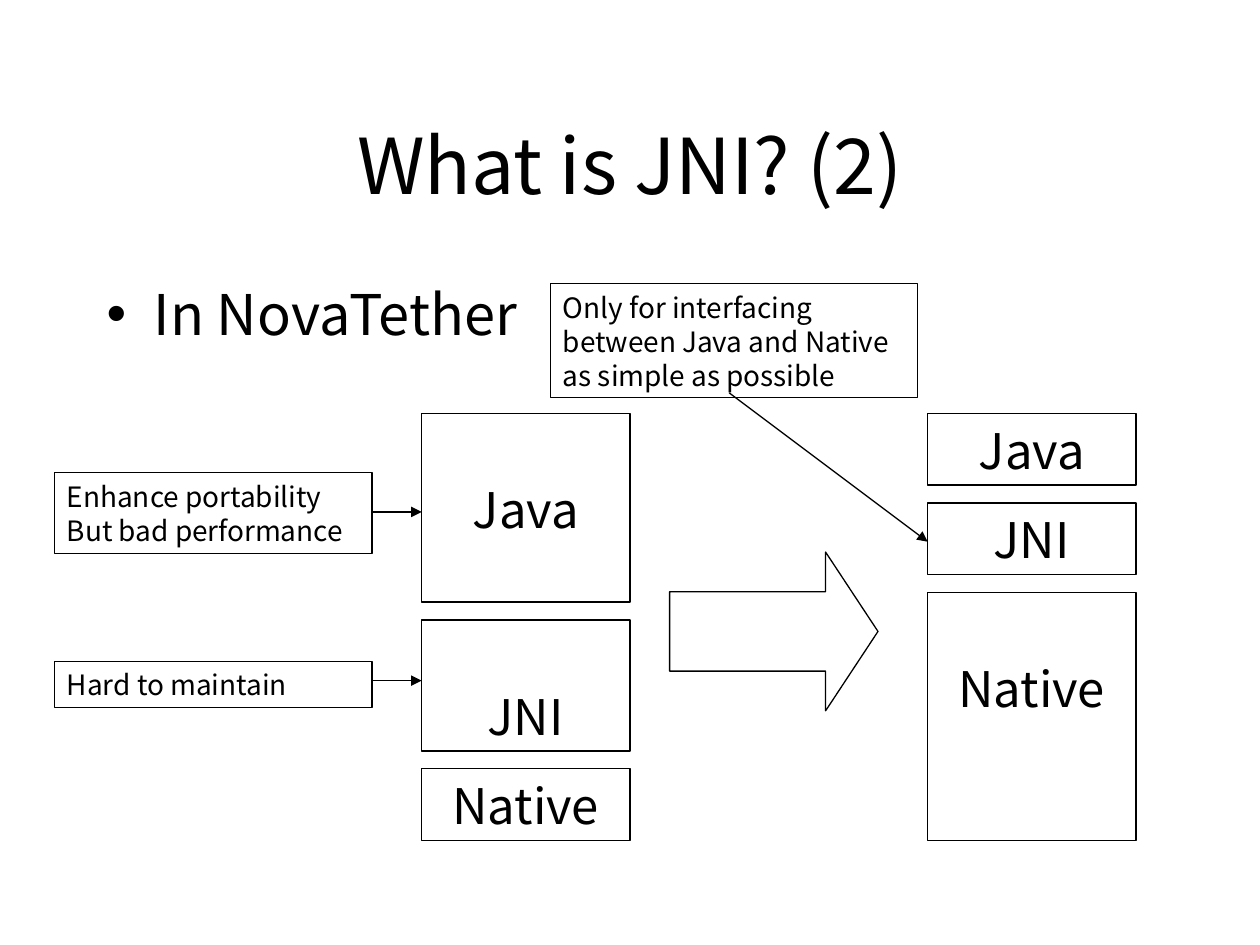
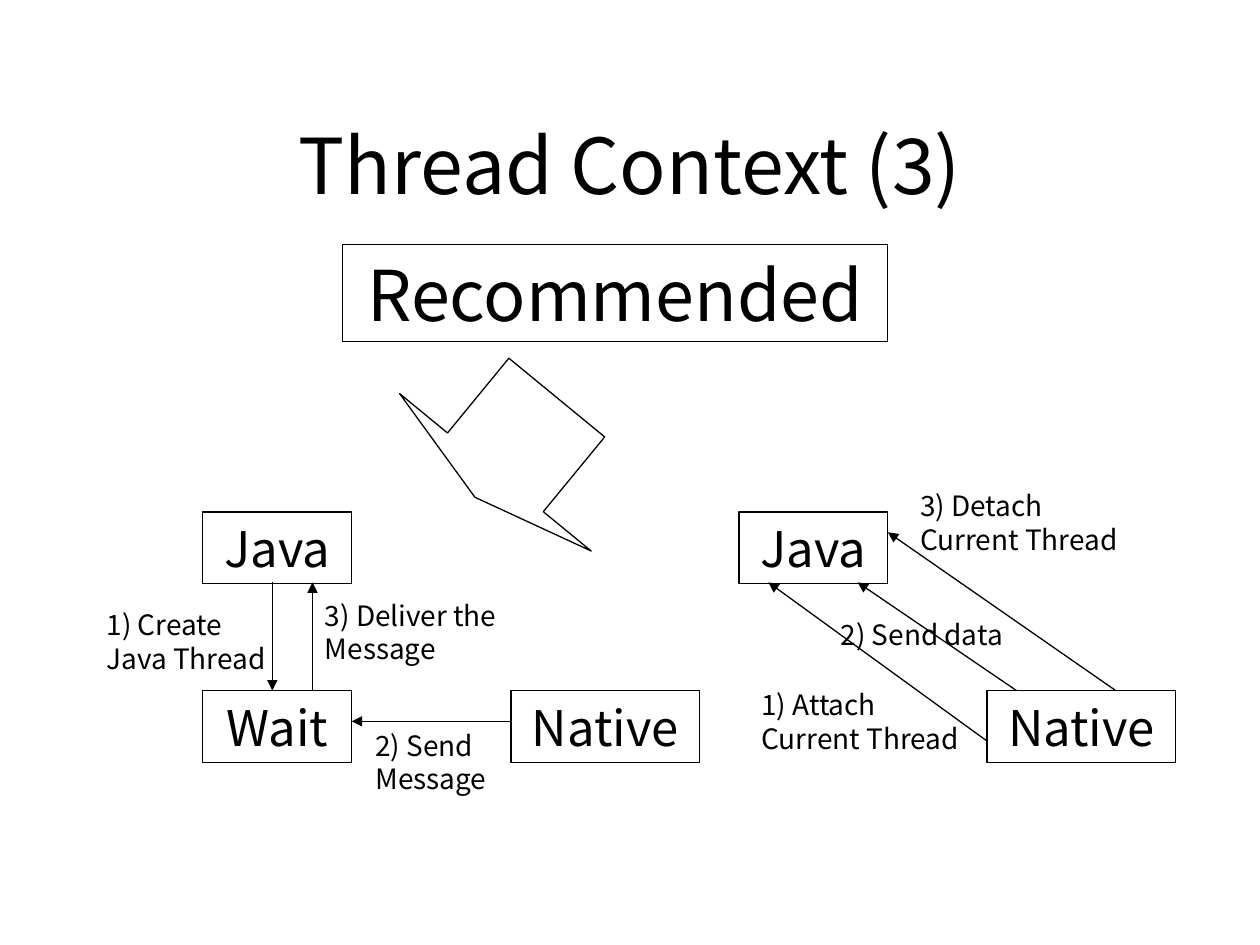
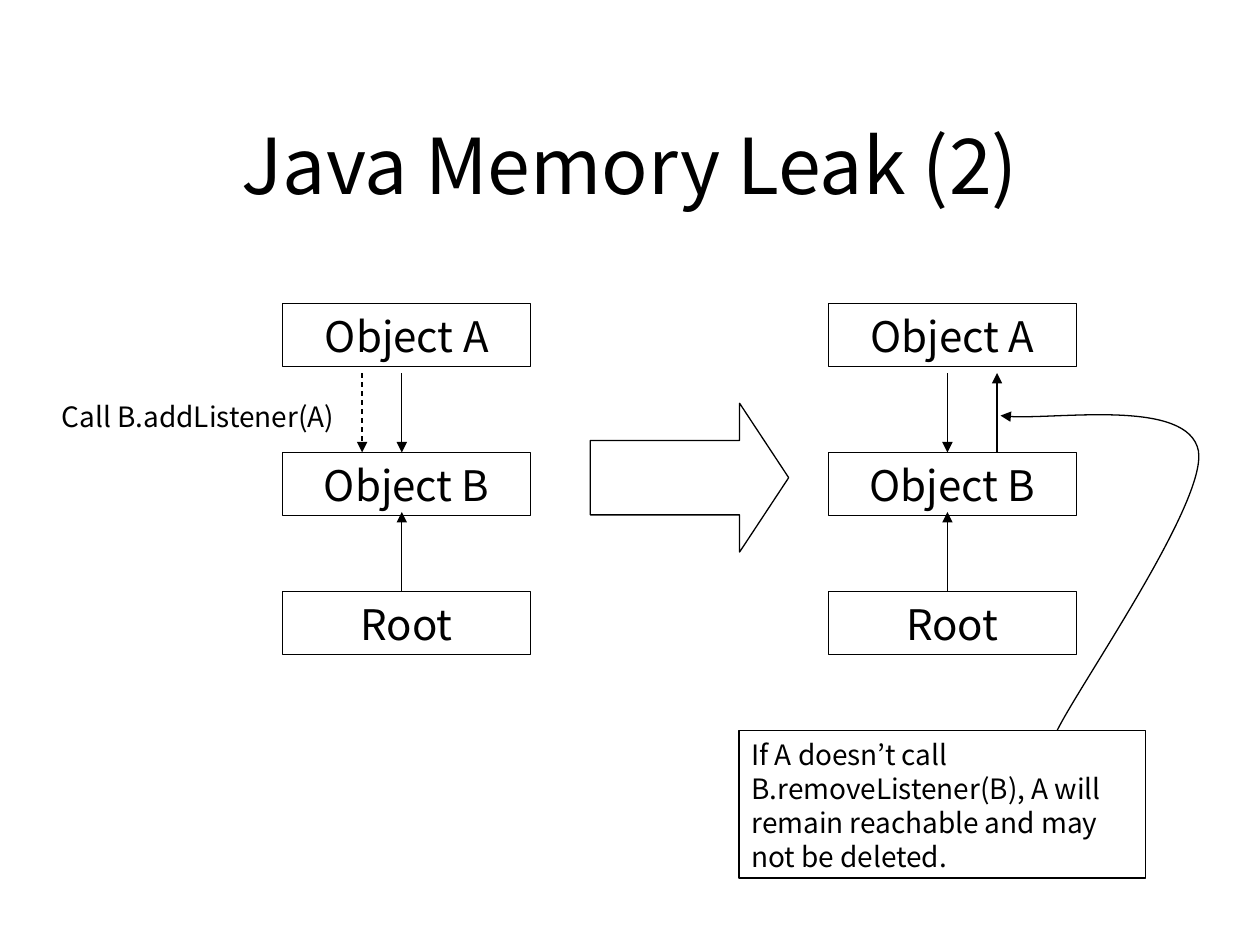
import dataclasses

import lxml.etree
import pptx
import pptx.dml.color
import pptx.enum.dml
import pptx.enum.shapes
import pptx.enum.text
import pptx.oxml
import pptx.oxml.ns
import pptx.util

Cm = pptx.util.Cm
Pt = pptx.util.Pt
Shape = pptx.enum.shapes.MSO_SHAPE
Align = pptx.enum.text.PP_ALIGN
Anchor = pptx.enum.text.MSO_ANCHOR
qn = pptx.oxml.ns.qn


@dataclasses.dataclass(frozen=True)
class Theme:
    font: str = "Noto Sans CJK KR"
    ink: pptx.dml.color.RGBColor = pptx.dml.color.RGBColor(0, 0, 0)
    paper: pptx.dml.color.RGBColor = pptx.dml.color.RGBColor(255, 255, 255)
    title: int = 44
    banner: int = 40
    body: int = 32
    block: int = 28
    node: int = 24
    note: int = 16
    pitch: float = 1.21
    line: float = 0.75
    side: float = 0.25
    edge: float = 0.13


THEME = Theme()


def write(frame, lines, size, align=Align.LEFT, anchor=Anchor.TOP, drop=0):
    frame.word_wrap = True
    frame.auto_size = pptx.enum.text.MSO_AUTO_SIZE.NONE
    frame.vertical_anchor = anchor
    frame.margin_left = frame.margin_right = Cm(THEME.side)
    frame.margin_top = Cm(THEME.edge + drop)
    frame.margin_bottom = Cm(THEME.edge)
    for index, line in enumerate(lines):
        para = frame.add_paragraph() if index else frame.paragraphs[0]
        para.alignment = align
        para.line_spacing = Pt(round(size * THEME.pitch, 1))
        para.space_before = Pt(0)
        run = para.add_run()
        run.text = line
        run.font.name = THEME.font
        run.font.size = Pt(size)
        run.font.color.rgb = THEME.ink


def place(shape, x, y, w, h):
    shape.left, shape.top, shape.width, shape.height = Cm(x), Cm(y), Cm(w), Cm(h)


def stroke(line):
    line.color.rgb = THEME.ink
    line.width = Pt(THEME.line)


def outline(shape):
    shape.shadow.inherit = False
    shape.fill.background()
    stroke(shape.line)


def point(shape):
    line = shape._element.spPr.get_or_add_ln()
    lxml.etree.SubElement(line, qn("a:tailEnd"), type="triangle")


def draw(slide, kind, x, y, w, h):
    shape = slide.shapes.add_shape(kind, Cm(x), Cm(y), Cm(w), Cm(h))
    outline(shape)
    return shape


def block(slide, x, y, w, h, text, size=THEME.block, drop=0):
    shape = draw(slide, Shape.RECTANGLE, x, y, w, h)
    write(shape.text_frame, [text], size, Align.CENTER, drop=drop)


def note(slide, x, y, w, h, *lines):
    shape = draw(slide, Shape.RECTANGLE, x, y, w, h)
    write(shape.text_frame, lines, THEME.note)


def label(slide, x, y, w, h, text):
    shape = slide.shapes.add_textbox(Cm(x), Cm(y), Cm(w), Cm(h))
    write(shape.text_frame, [text], THEME.note)


def arrow(slide, x, y, start, end, dashed=False):
    link = slide.shapes.add_connector(
        pptx.enum.shapes.MSO_CONNECTOR.STRAIGHT,
        Cm(x + start[0]), Cm(y + start[1]), Cm(x + end[0]), Cm(y + end[1]))
    stroke(link.line)
    if dashed:
        link.line.dash_style = pptx.enum.dml.MSO_LINE.DASH
    point(link)
    lxml.etree.SubElement(link._element.spPr, qn("a:effectLst"))


def fat(slide, kind, x, y, w, h, head, turn=0):
    shape = draw(slide, kind, x, y, w, h)
    shape.adjustments[0] = 0.5
    shape.adjustments[1] = head
    shape.rotation = turn


def curve(slide, x, y, points):
    spots = [(Cm(x + a), Cm(y + b)) for a, b in points]
    pen = slide.shapes.build_freeform(*spots[0])
    pen.add_line_segments(spots[1:], close=False)
    shape = pen.convert_to_shape()
    outline(shape)
    point(shape)
    track = shape._element.find(".//" + qn("a:path"))
    steps = track.findall(qn("a:lnTo"))
    for index in range(0, len(steps), 3):
        bend = lxml.etree.SubElement(track, qn("a:cubicBezTo"))
        for step in steps[index:index + 3]:
            bend.append(step[0])
            track.remove(step)


def page(deck, title, layout=5):
    slide = deck.slides.add_slide(deck.slide_layouts[layout])
    slide.background.fill.solid()
    slide.background.fill.fore_color.rgb = THEME.paper
    head = slide.shapes.title
    place(head, 1.9, 1.7, 21.6, 3.18)
    write(head.text_frame, [title], THEME.title, Align.CENTER, Anchor.MIDDLE)
    return slide


def bullet(slide, x, y, w, h, text):
    body = slide.placeholders[1]
    place(body, x, y, w, h)
    write(body.text_frame, [text], THEME.body)
    props = body.text_frame.paragraphs[0]._p.get_or_add_pPr()
    indent = Cm(0.95)
    props.set("marL", str(indent))
    props.set("indent", str(-indent))
    lxml.etree.SubElement(props, qn("a:buChar"), char="•")


def stack(slide, x, y, w, parts, gap=0.36):
    for text, height, drop in parts:
        block(slide, x, y, w, height, text, drop=drop)
        y += height + gap


def remarks(slide, x, y, w):
    note(slide, x, y, w, 1.63, "Enhance portability", "But bad performance")
    note(slide, x, y + 3.8, w, 0.94, "Hard to maintain")
    for level in (0.79, 4.19):
        arrow(slide, x, y, (w, level), (w + 1, level))


def layers(deck):
    slide = page(deck, "What is JNI? (2)", 1)
    bullet(slide, 1.9, 5.5, 21.6, 11.43, "In NovaTether")
    line = 1.19
    stack(slide, 8.5, 8.33, 4.2,
          [("Java", 3.81, line), ("JNI", 2.64, line), ("Native", 1.45, 0)])
    stack(slide, 18.7, 8.33, 4.2,
          [("Java", 1.45, 0), ("JNI", 1.45, 0), ("Native", 5, line)])
    remarks(slide, 1.1, 9.53, 6.4)
    fat(slide, Shape.RIGHT_ARROW, 13.5, 11.13, 4.2, 3.2, 0.33)
    note(slide, 11.1, 5.72, 7.4, 2.29,
         "Only for interfacing between Java and Native", "as simple as possible")
    arrow(slide, 11.1, 5.72, (3.6, 2.2), (7.6, 5.2))


def waiting(slide, x, y):
    low = 3.6
    block(slide, x + 2.19, y, 3, 1.45, "Java")
    block(slide, x + 2.19, y + low, 3, 1.45, "Wait")
    block(slide, x + 8.4, y + low, 3.8, 1.45, "Native")
    arrow(slide, x, y, (3.59, 1.42), (3.59, low))
    arrow(slide, x, y, (8.4, 4.22), (5.19, 4.22))
    arrow(slide, x, y, (4.4, low), (4.4, 1.42))
    label(slide, x, y + 1.8, 3.81, 1.63, "1) Create Java Thread")
    label(slide, x + 5.42, y + 4.22, 3.81, 1.63, "2) Send Message")
    label(slide, x + 4.4, y + 1.6, 4.39, 1.63, "3) Deliver the Message")


def attached(slide, x, y):
    low = 3.6
    block(slide, x, y, 3, 1.45, "Java")
    block(slide, x + 5, y + low, 3.8, 1.45, "Native")
    arrow(slide, x, y, (5, 4.62), (0.59, 1.42))
    arrow(slide, x, y, (5.59, low), (2.39, 1.42))
    arrow(slide, x, y, (7.59, low), (3, 0.41))
    label(slide, x + 0.2, y + 3.4, 4.6, 1.63, "1) Attach Current Thread")
    label(slide, x + 1.8, y + 2, 4.6, 0.94, "2) Send data")
    label(slide, x + 3.4, y - 0.6, 4.6, 1.63, "3) Detach Current Thread")


def threads(deck):
    slide = page(deck, "Thread Context (3)")
    waiting(slide, 1.9, 10.32)
    attached(slide, 14.9, 10.32)
    block(slide, 6.9, 4.93, 11, 1.96, "Recommended", THEME.banner)
    fat(slide, Shape.DOWN_ARROW, 7.9, 7.72, 5, 2.6, 0.25, 39.4)


def chain(slide, x, y):
    for text, level in (("Object A", 0), ("Object B", 3), ("Root", 5.8)):
        block(slide, x, y + level, 5, 1.27, text, THEME.node)
    arrow(slide, x, y, (2.4, 1.4), (2.4, 3))
    arrow(slide, x, y, (2.4, 5.8), (2.4, 4.2))


def leak(deck):
    slide = page(deck, "Java Memory Leak (2)")
    left, right, top = 5.7, 16.7, 6.12
    for x in (left, right):
        chain(slide, x, top)
    label(slide, 1, top + 1.8, 6.4, 0.94, "Call B.addListener(A)")
    arrow(slide, left, top, (1.6, 1.4), (1.6, 3), True)
    arrow(slide, right, top, (3.4, 3), (3.4, 1.4))
    note(slide, 14.9, 14.73, 8.2, 2.97,
         "If A doesn’t call B.removeListener(B), A will remain reachable"
         " and may not be deleted.")
    fat(slide, Shape.RIGHT_ARROW, 11.9, 8.13, 4, 3, 0.33)
    curve(slide, right, top,
          [(4.61, 8.61), (5.07, 7.67), (7.63, 4.01), (7.46, 2.97),
           (7.25, 1.91), (4.31, 2.39), (3.47, 2.26)])


def main():
    deck = pptx.Presentation()
    deck.slide_width, deck.slide_height = Cm(25.4), Cm(19.05)
    for build in (layers, threads, leak):
        build(deck)
    deck.save("out.pptx")


if __name__ == "__main__":
    main()
